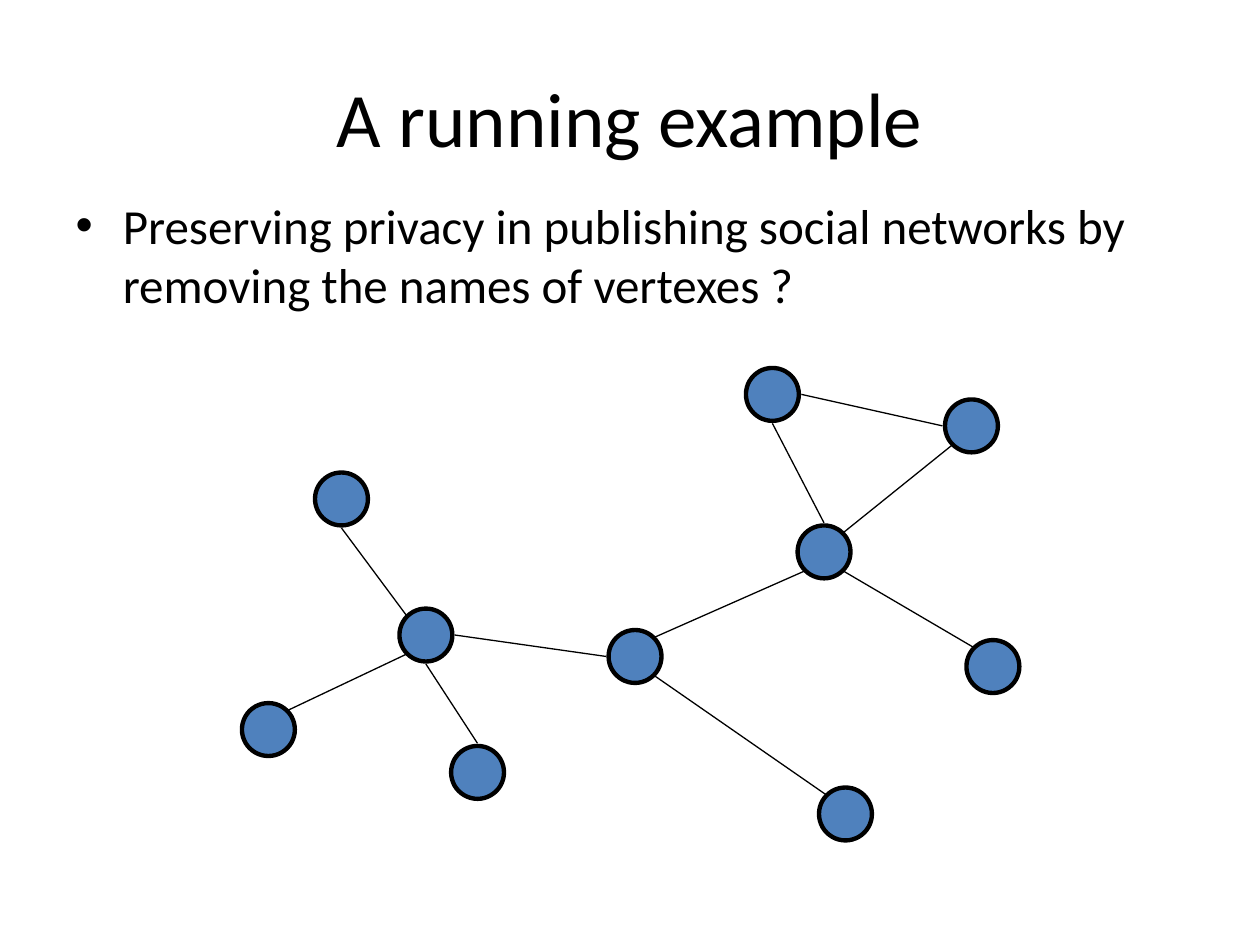
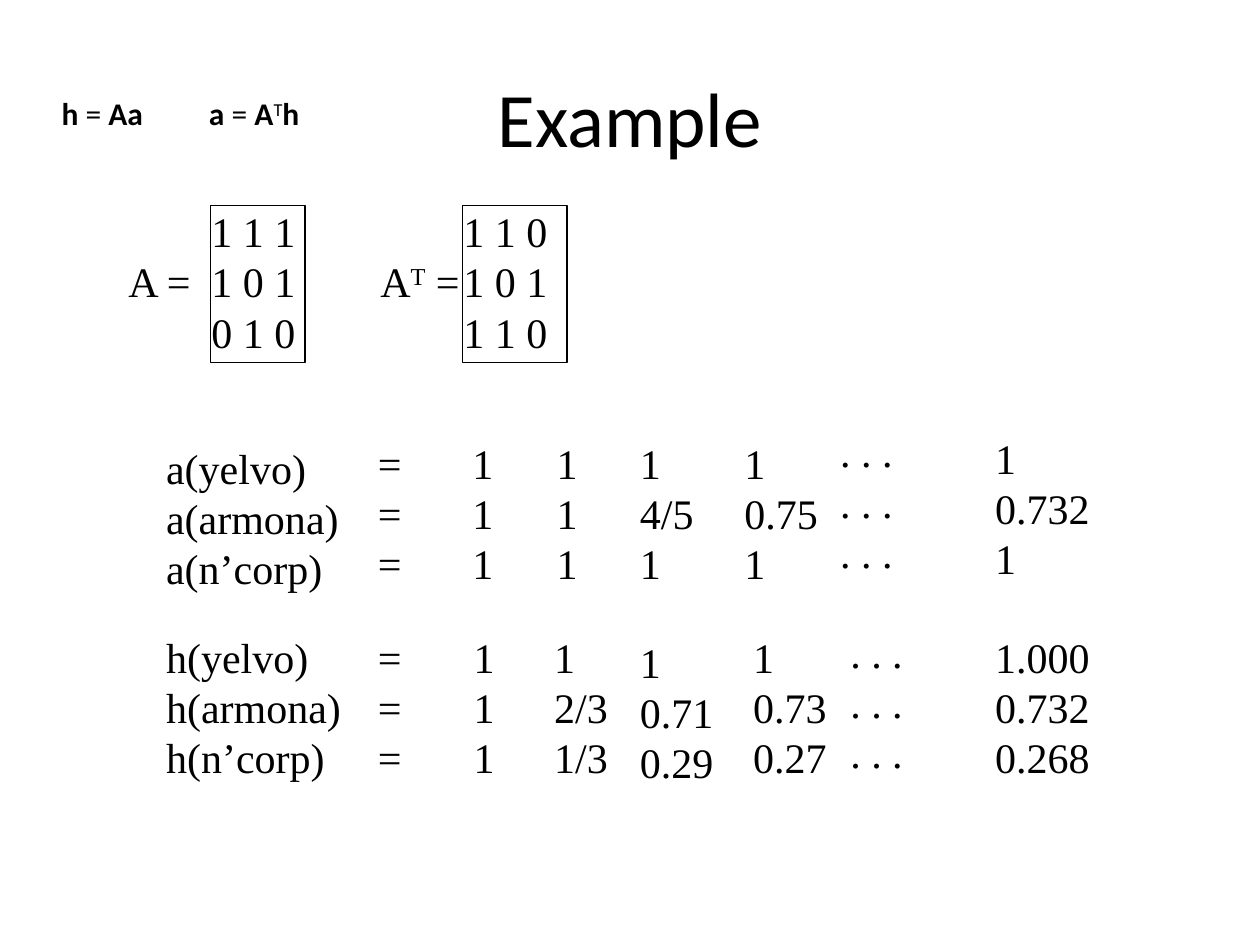
from lxml.etree import SubElement
from pptx import Presentation
from pptx.dml.color import RGBColor
from pptx.enum.shapes import MSO_CONNECTOR, MSO_SHAPE
from pptx.enum.text import MSO_ANCHOR, PP_ALIGN
from pptx.oxml.ns import qn
from pptx.util import Inches, Pt

# Shared style
BLACK = RGBColor(0x00, 0x00, 0x00)
BLUE = RGBColor(0x4F, 0x81, 0xBD)
HEAD = {"name": "Calibri", "size": Pt(44)}
BODY = {"name": "Calibri", "size": Pt(28)}
NOTE = {"name": "Calibri", "size": Pt(18)}
MATH = {"name": "Times New Roman", "size": Pt(24)}

deck = Presentation()
deck.slide_width, deck.slide_height = Inches(10), Inches(7.5)


def style(font, form):
    for key, value in form.items():
        setattr(font, key, value)
    font.color.rgb = BLACK


def write(slide, at, lines, form, tabs=()):
    """Add a text box; a line is a list of (text, mark), mark b = bold, ^ = raised."""
    frame = slide.shapes.add_textbox(*map(Inches, at)).text_frame
    frame.word_wrap = True
    for i, line in enumerate(lines):
        para = frame.add_paragraph() if i else frame.paragraphs[0]
        if tabs:
            stops = SubElement(para._p.get_or_add_pPr(), qn("a:tabLst"))
            for tab in tabs:
                SubElement(stops, qn("a:tab"), pos=str(Inches(tab)), algn="l")
        for text, mark in [(line, "")] if isinstance(line, str) else line:
            run = para.add_run()
            run.text = text
            style(run.font, form)
            run.font.bold = mark == "b"
            if mark == "^":
                run._r.get_or_add_rPr().set("baseline", "30000")


# Slides and titles
pages = []
for layout, title in ((1, "A running example"), (5, "Example")):
    page = deck.slides.add_slide(deck.slide_layouts[layout])
    head = page.shapes.title
    head.left, head.top, head.width, head.height = map(Inches, (0.5, 0.3, 9, 1.25))
    head.text_frame.text = title
    head.text_frame.vertical_anchor = MSO_ANCHOR.MIDDLE
    para = head.text_frame.paragraphs[0]
    para.alignment = PP_ALIGN.CENTER
    style(para.runs[0].font, HEAD)
    pages.append(page)
graph, sums = pages

# Slide 1: question
body = graph.placeholders[1]
body.left, body.top, body.width, body.height = map(Inches, (0.5, 1.5, 9, 4.95))
body.text_frame.text = ("Preserving privacy in publishing social networks by "
                        "removing the names of vertexes ?")
para = body.text_frame.paragraphs[0]
para.space_before = Pt(0)
style(para.runs[0].font, BODY)

# Slide 1: vertexes, by centre
SIZE = 0.42
nodes = {
    "hub": (3.38, 5.04), "west": (2.13, 5.79), "south": (3.79, 6.13),
    "north": (2.71, 3.96), "mid": (5.04, 5.21), "joint": (6.54, 4.38),
    "top": (6.13, 3.13), "peak": (7.71, 3.38), "low": (6.71, 6.46),
    "east": (7.88, 5.29),
}
for x, y in nodes.values():
    dot = graph.shapes.add_shape(
        MSO_SHAPE.OVAL, Inches(x - SIZE / 2), Inches(y - SIZE / 2),
        Inches(SIZE), Inches(SIZE))
    dot.shadow.inherit = False
    dot.fill.solid()
    dot.fill.fore_color.rgb = BLUE
    dot.line.color.rgb = BLACK
    dot.line.width = Pt(2.5)

# Slide 1: edges, each end on a compass point of its vertex
RIM, SLANT = 0.23, 0.15
sites = {
    "N": (0, -RIM), "S": (0, RIM), "W": (-RIM, 0), "E": (RIM, 0),
    "NW": (-SLANT, -SLANT), "NE": (SLANT, -SLANT),
    "SW": (-SLANT, SLANT), "SE": (SLANT, SLANT),
}
edges = (
    ("west", "NE", "hub", "SW"), ("south", "N", "hub", "S"),
    ("hub", "NW", "north", "S"), ("mid", "W", "hub", "E"),
    ("east", "NW", "joint", "SE"), ("mid", "NE", "joint", "SW"),
    ("joint", "N", "top", "S"), ("peak", "W", "top", "E"),
    ("joint", "NE", "peak", "SW"), ("low", "NW", "mid", "SE"),
)
for start, out, end, into in edges:
    ends = [Inches(c + d) for node, site in ((start, out), (end, into))
            for c, d in zip(nodes[node], sites[site])]
    edge = graph.shapes.add_connector(MSO_CONNECTOR.STRAIGHT, *ends)
    edge.line.color.rgb = BLACK
    edge.line.width = Pt(0.75)
    SubElement(edge._element.spPr, qn("a:effectLst"))

# Slide 2: matrices and their frames
write(sums, (0.92, 1.58, 1.65, 1.3), ("\t1 1 1", "A =\t1 0 1", "\t0 1 0"), MATH, [0.66])
write(sums, (2.92, 1.58, 1.7, 1.3),
      ("\t1 1 0", [("A", ""), ("T", "^"), (" =\t1 0 1", "")], "\t1 1 0"), MATH, [0.66])
for left, width in ((1.67, 0.75), (3.67, 0.83)):
    box = sums.shapes.add_shape(
        MSO_SHAPE.RECTANGLE, Inches(left), Inches(1.63), Inches(width), Inches(1.25))
    box.shadow.inherit = False
    box.fill.background()
    box.line.color.rgb = BLACK
    box.line.width = Pt(0.75)

# Slide 2: columns of the iterations (left, top, width, rows)
dots = [". . ."] * 3
ones = ["1"] * 3
names = ("yelvo", "armona", "n’corp")
columns = (
    (1.22, 3.46, 1.71, [f"a({name})" for name in names]),
    (2.9, 3.42, 0.5, ["="] * 3),
    (3.65, 3.42, 0.5, ones),
    (4.32, 3.42, 0.5, ones),
    (4.98, 3.42, 0.75, ("1", "4/5", "1")),
    (5.81, 3.42, 0.9, ("1", "0.75", "1")),
    (6.57, 3.33, 0.75, dots),
    (7.8, 3.38, 1.05, ("1", "0.732", "1")),
    (4.3, 4.96, 0.75, ("1", "2/3", "1/3")),
    (4.98, 5, 0.88, ("1", "0.71", "0.29")),
    (5.88, 4.96, 0.9, ("1", "0.73", "0.27")),
    (6.65, 4.92, 0.75, dots),
    (7.8, 4.96, 1.05, ("1.000", "0.732", "0.268")),
)
for left, top, width, rows in columns:
    write(sums, (left, top, width, 1.3), rows, MATH)
write(sums, (1.22, 4.96, 2.94, 1.3), [f"h({name})\t=\t1" for name in names],
      MATH, [1.68, 2.44])

# Slide 2: update rules
write(sums, (0.39, 0.7, 1, 0.4), [[("h", "b"), (" = ", ""), ("Aa", "b")]], NOTE)
write(sums, (1.56, 0.7, 1.05, 0.4),
      [[("a ", "b"), ("= ", ""), ("A", "b"), ("T", "^"), ("h", "b")]], NOTE)

deck.save("out.pptx")
